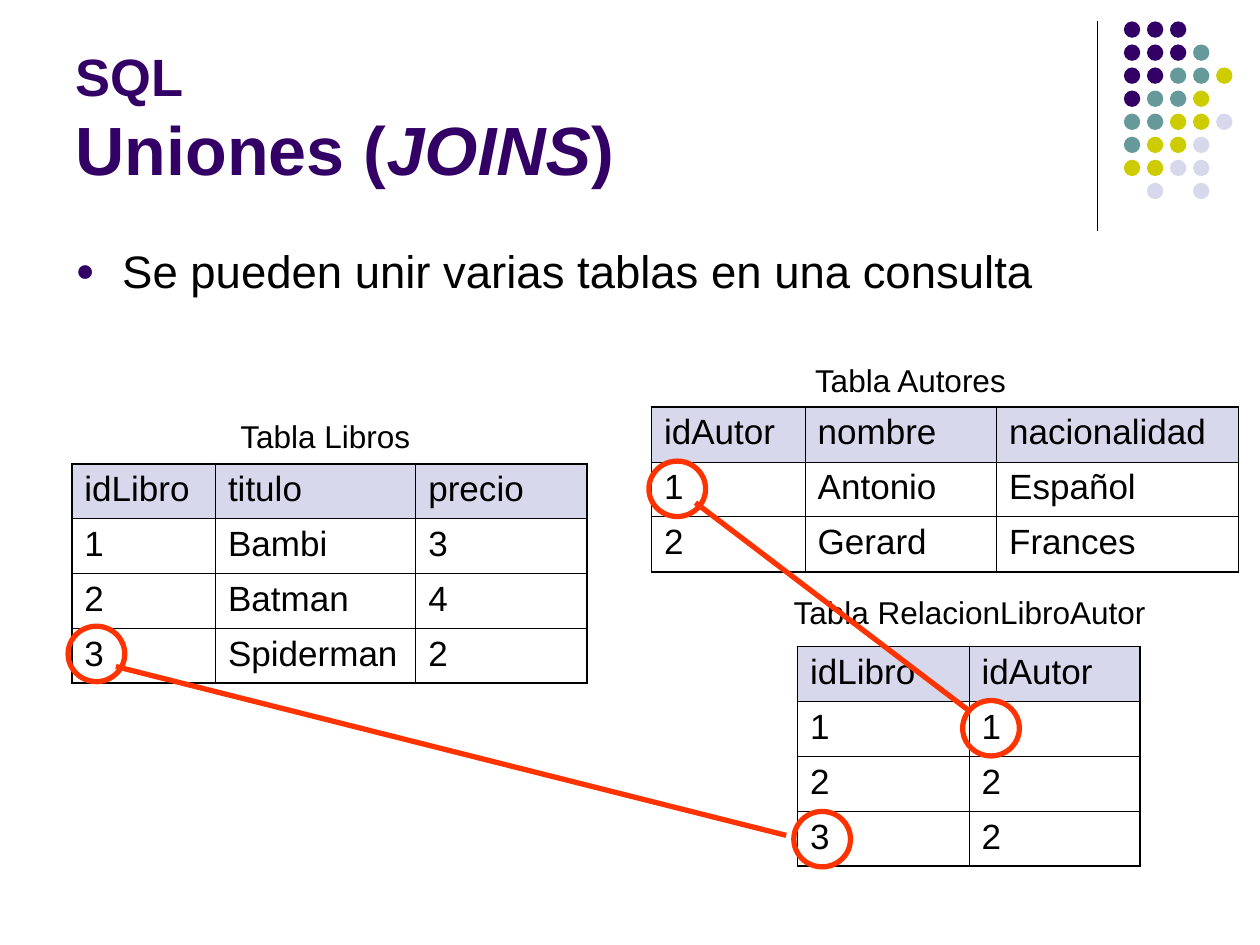
from dataclasses import dataclass

from lxml.etree import SubElement
from pptx import Presentation
from pptx.dml.color import RGBColor as Rgb
from pptx.enum.shapes import MSO_CONNECTOR as Connector, MSO_SHAPE as Shape
from pptx.enum.text import MSO_ANCHOR as Anchor, MSO_AUTO_SIZE as AutoSize, PP_ALIGN as Align
from pptx.oxml.ns import qn
from pptx.util import Inches, Pt

COLUMNS, ROWS = 100, 75
CELL = Inches(10) // COLUMNS
TABLE_ROW = 4.36
RING_SIZE = (4.5, 4.4)
DOT_SIZE, DOT_PITCH = 1.3, 1.83
DOT_ROWS = ("PPP", "PPPT", "PPTTY", "PTTY", "TTYYL", "TYYL", "YYLL", " L L")


@dataclass(frozen=True)
class Theme:
    """Colours, font and type sizes of the slide."""
    font: str = "Arial"
    purple: str = "330066"
    teal: str = "669999"
    yellow: str = "CCCC00"
    lilac: str = "D8D8EC"
    ink: str = "000000"
    accent: str = "FF3300"
    topic_size: float = 30
    title_size: float = 39
    body_size: float = 26
    cell_size: float = 20
    caption_size: float = 18
    outer_border: float = 1.08
    inner_border: float = 0.45
    rule_width: float = 0.75
    mark_width: float = 3


THEME = Theme()


def grid(*units):
    """Turn grid units into slide lengths."""
    return [round(unit * CELL) for unit in units]


def style(font, size, color=THEME.ink, bold=None):
    """Set the face, size and colour of a font."""
    font.name, font.size, font.bold = THEME.font, Pt(size), bold
    font.color.rgb = Rgb.from_string(color)


def place(placeholder, left, top, width, height):
    """Move a placeholder to a grid box."""
    placeholder.left, placeholder.top, placeholder.width, placeholder.height = grid(
        left, top, width, height)
    placeholder.text_frame.auto_size = AutoSize.NONE


def fill_title(title, topic, parts):
    """Write the topic and, below it, the heading from (text, italic) parts."""
    place(title, 5, 1.3, 82.5, 14.2)
    title.text_frame.vertical_anchor = Anchor.BOTTOM
    heading = title.text_frame.paragraphs[0]
    heading.alignment = Align.LEFT
    style(heading.font, THEME.topic_size, THEME.purple, True)
    topic_run = heading.add_run()
    topic_run.text = topic
    style(topic_run.font, THEME.topic_size, THEME.purple, True)
    heading.add_line_break()
    for text, italic in parts:
        run = heading.add_run()
        run.text = text
        style(run.font, THEME.title_size, THEME.purple, True)
        run.font.italic = italic


def fill_body(body, text):
    """Write the bulleted statement."""
    place(body, 5, 18.8, 89.5, 9.6)
    statement = body.text_frame.paragraphs[0]
    statement.text = text
    props = statement._p.get_or_add_pPr()
    indent = grid(3.7)[0]
    props.set("marL", str(indent))
    props.set("indent", str(-indent))
    SubElement(SubElement(props, qn("a:buClr")), qn("a:srgbClr"), val=THEME.purple)
    SubElement(props, qn("a:buSzPct"), val="70000")
    SubElement(props, qn("a:buFont"), typeface=THEME.font)
    SubElement(props, qn("a:buChar"), char="●")
    statement.space_before = Pt(6.5)
    style(statement.font, THEME.body_size)


def add_line(slide, start, end, color, width):
    """Draw a straight line between two grid points."""
    line = slide.shapes.add_connector(Connector.STRAIGHT, *grid(*start, *end))
    line.line.color.rgb = Rgb.from_string(color)
    line.line.width = Pt(width)
    SubElement(line._element.spPr, qn("a:effectLst"))


def add_dots(slide):
    """Draw the corner pattern of coloured dots."""
    colors = {"P": THEME.purple, "T": THEME.teal, "Y": THEME.yellow, "L": THEME.lilac}
    pattern = slide.shapes.add_group_shape()
    for row, codes in enumerate(DOT_ROWS):
        for column, code in enumerate(codes):
            if code in colors:
                dot = pattern.shapes.add_shape(Shape.OVAL, *grid(
                    89.2 + column * DOT_PITCH, 1.7 + row * DOT_PITCH, DOT_SIZE, DOT_SIZE))
                dot.shadow.inherit = False
                dot.fill.solid()
                dot.fill.fore_color.rgb = Rgb.from_string(colors[code])
                dot.line.fill.background()


def add_caption(slide, text, left, top, width):
    """Write a table's name above it."""
    caption = slide.shapes.add_textbox(*grid(left, top, width, 4)).text_frame
    caption.word_wrap = False
    caption.auto_size = AutoSize.SHAPE_TO_FIT_TEXT
    caption.text = text
    style(caption.paragraphs[0].font, THEME.caption_size)


def set_borders(cell, outer_sides):
    """Rule a cell, heavier on the sides that face out of the table."""
    props = cell._tc.get_or_add_tcPr()
    for side, is_outer in outer_sides.items():
        width = THEME.outer_border if is_outer else THEME.inner_border
        border = SubElement(props, qn(f"a:ln{side}"), w=str(Pt(width)))
        SubElement(SubElement(border, qn("a:solidFill")), qn("a:srgbClr"), val=THEME.ink)


def add_data_table(slide, left, top, widths, records):
    """Build a ruled table with a tinted header row."""
    last_row, last_column = len(records) - 1, len(widths) - 1
    table = slide.shapes.add_table(len(records), len(widths), *grid(
        left, top, sum(widths), TABLE_ROW * len(records))).table
    table.first_row = table.horz_banding = False
    for column, width in zip(table.columns, grid(*widths)):
        column.width = width
    for r, record in enumerate(records):
        table.rows[r].height = grid(TABLE_ROW)[0]
        for c, value in enumerate(record):
            cell = table.cell(r, c)
            cell.text = value
            entry = cell.text_frame.paragraphs[0]
            entry.space_before = Pt(5)
            style(entry.font, THEME.cell_size)
            set_borders(cell, {"L": c == 0, "R": c == last_column,
                               "T": r == 0, "B": r == last_row})
            if r == 0:
                cell.fill.solid()
                cell.fill.fore_color.rgb = Rgb.from_string(THEME.lilac)
            else:
                cell.fill.background()


def add_ring(slide, left, top):
    """Circle a key value."""
    ring = slide.shapes.add_shape(Shape.OVAL, *grid(left, top, *RING_SIZE))
    ring.shadow.inherit = False
    ring.fill.background()
    ring.line.color.rgb = Rgb.from_string(THEME.accent)
    ring.line.width = Pt(THEME.mark_width)


def main():
    """Build the slide and save it."""
    deck = Presentation()
    deck.slide_width, deck.slide_height = grid(COLUMNS, ROWS)
    slide = deck.slides.add_slide(deck.slide_layouts[1])
    add_line(slide, (87.1, 1.7), (87.1, 18.3), THEME.ink, THEME.rule_width)
    add_dots(slide)
    fill_title(slide.shapes.title, "SQL",
               [("Uniones (", False), ("JOINS", True), (")", False)])
    fill_body(slide.placeholders[1], "Se pueden unir varias tablas en una consulta")

    add_data_table(slide, 5.7, 36.8, (11.4, 15.9, 13.6), [
        ("idLibro", "titulo", "precio"), ("1", "Bambi", "3"),
        ("2", "Batman", "4"), ("3", "Spiderman", "2")])
    add_caption(slide, "Tabla Libros", 18.1, 32.6, 15.7)
    add_data_table(slide, 51.7, 32.3, (12.2, 15.2, 19.2), [
        ("idAutor", "nombre", "nacionalidad"),
        ("1", "Antonio", "Español"), ("2", "Gerard", "Frances")])
    add_caption(slide, "Tabla Autores", 63.7, 28.2, 17.5)
    add_data_table(slide, 63.3, 51.3, (13.6, 13.6), [
        ("idLibro", "idAutor"), ("1", "1"), ("2", "2"), ("3", "2")])
    add_caption(slide, "Tabla RelacionLibroAutor", 62, 46.6, 30.2)

    for corner in ((5.4, 49.7), (63, 64.4), (76.4, 55.6), (51.5, 36.6)):
        add_ring(slide, *corner)
    for start, end in (((9.2, 52.9), (62.4, 66.3)), ((55.2, 39.9), (76.9, 56.4))):
        add_line(slide, start, end, THEME.accent, THEME.mark_width)
    deck.save("out.pptx")


if __name__ == "__main__":
    main()
